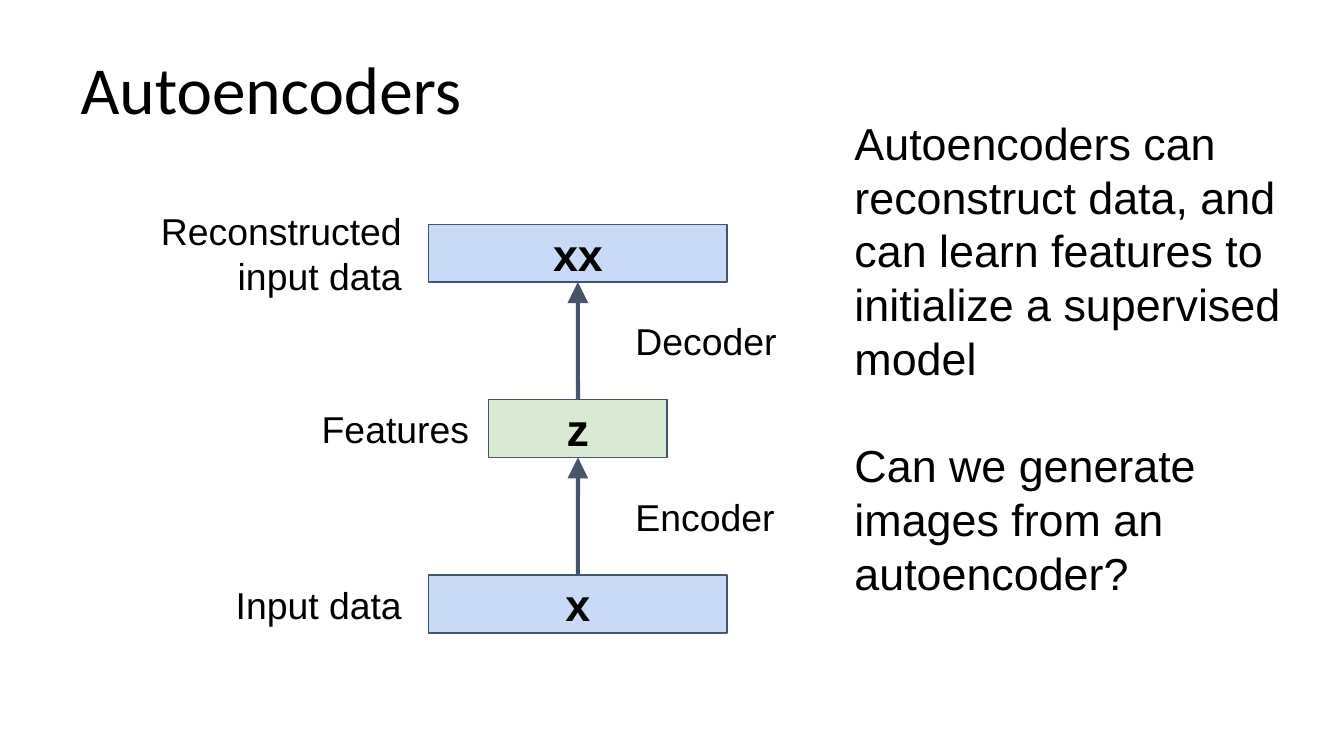
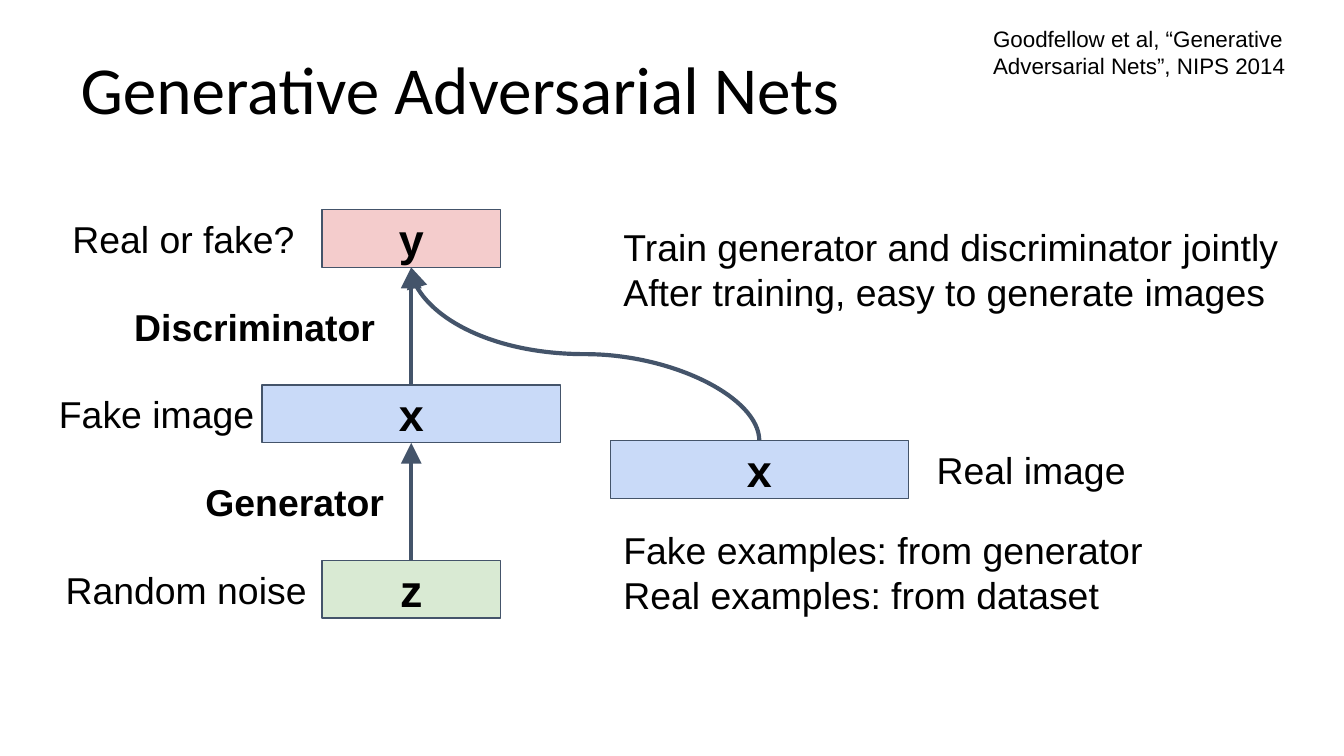
from lxml import etree
from pptx import Presentation
from pptx import util as u
from pptx.dml import color
from pptx.enum import shapes, text
from pptx.oxml import ns

WIDTH = 10
HEIGHT = WIDTH * 9 / 16
ROW_STEP, ROW_HEIGHT = HEIGHT * 0.116, 0.43
WIDE, NARROW = 2.22, 1.33
BOTTOM, TOP = 2, 0
COLORS = {
    "text": "000000",
    "line": "44546A",
    "data": "C9DAF8",
    "features": "D9EAD3",
    "verdict": "F4CCCC",
}
LEFT, CENTER, RIGHT = text.PP_ALIGN.LEFT, text.PP_ALIGN.CENTER, text.PP_ALIGN.RIGHT
MIDDLE, UPPER = text.MSO_ANCHOR.MIDDLE, text.MSO_ANCHOR.TOP


def rgb(name):
    return color.RGBColor.from_string(COLORS[name])


def inches(*lengths):
    return [u.Inches(length) for length in lengths]


def write(part, words, size=20, bold=False, align=LEFT, anchor=MIDDLE,
          font="Arial", gap=0, spacing=None):
    frame = part.text_frame
    frame.word_wrap = True
    frame.auto_size = text.MSO_AUTO_SIZE.NONE
    frame.vertical_anchor = anchor
    frame.margin_left = frame.margin_right = u.Inches(0.1)
    frame.margin_top = frame.margin_bottom = u.Inches(0.1)
    frame.text = words
    for index, paragraph in enumerate(frame.paragraphs):
        paragraph.alignment = align
        paragraph.space_before = u.Pt(gap if index else 0)
        if spacing:
            paragraph.line_spacing = spacing
        for run in paragraph.runs:
            run.font.name = font
            run.font.size = u.Pt(size)
            run.font.bold = bold
            run.font.color.rgb = rgb("text")


def add_label(slide, box, words, **style):
    write(slide.shapes.add_textbox(*inches(*box)), words, **style)


def add_block(slide, center, top, width, words, fill):
    block = slide.shapes.add_shape(
        shapes.MSO_SHAPE.RECTANGLE,
        *inches(center - width / 2, top, width, ROW_HEIGHT))
    block.shadow.inherit = False
    block.fill.solid()
    block.fill.fore_color.rgb = rgb(fill)
    block.line.color.rgb = rgb("line")
    block.line.width = u.Pt(0.75)
    write(block, words, size=24, bold=True, align=CENTER)
    return block


def add_arrow(slide, kind, start, end):
    arrow = slide.shapes.add_connector(kind, *inches(*start, *end))
    arrow.line.color.rgb = rgb("line")
    arrow.line.width = u.Pt(2.25)
    line = arrow.line._get_or_add_ln()
    etree.SubElement(line, ns.qn("a:tailEnd"), type="triangle", w="lg", len="lg")
    etree.SubElement(arrow._element.spPr, ns.qn("a:effectLst"))
    return arrow


def add_curve(slide, start, end):
    middle_x, middle_y = (start[0] + end[0]) / 2, (start[1] + end[1]) / 2
    half_x, half_y = (start[1] - end[1]) / 2, (start[0] - end[0]) / 2
    curve = add_arrow(slide, shapes.MSO_CONNECTOR.CURVE,
                      (middle_x + half_x, middle_y - half_y),
                      (middle_x - half_x, middle_y + half_y))
    curve._element.spPr.find(ns.qn("a:xfrm")).set("rot", str(90 * 60000))


def row_top(top, row):
    return top + row * ROW_STEP


def add_tower(slide, center, top, layers, labels):
    blocks = [add_block(slide, center, row_top(top, 2 * index), *layer)
              for index, layer in enumerate(layers)]
    for upper, lower in zip(blocks, blocks[1:]):
        arrow = add_arrow(slide, shapes.MSO_CONNECTOR.STRAIGHT,
                          (center, top + ROW_STEP), (center, top))
        arrow.begin_connect(lower, TOP)
        arrow.end_connect(upper, BOTTOM)
    for row, left, width, words, style in labels:
        add_label(slide, (left, row_top(top, row), width, ROW_HEIGHT), words, **style)


def add_titled_slide(deck, words):
    slide = deck.slides.add_slide(deck.slide_layouts[5])
    title = slide.shapes.title
    title.left, title.top, title.width, title.height = inches(
        0.05 * WIDTH, 0.04 * HEIGHT, 0.9 * WIDTH, HEIGHT / 6)
    write(title, words, size=36, font="Calibri", spacing=0.9)
    return slide


def build_autoencoders(deck):
    slide = add_titled_slide(deck, "Autoencoders")
    center, top = 4.3, 1.67
    flush_right = {"align": RIGHT}
    add_tower(
        slide, center, top,
        [(WIDE, "xx", "data"), (NARROW, "z", "features"), (WIDE, "x", "data")],
        [(1, 4.63, 1.4, "Decoder", {}),
         (2, 1.97, 1.62, "Features", flush_right),
         (3, 4.63, 1.4, "Encoder", {}),
         (4, 1.47, 1.62, "Input data", flush_right)])
    add_label(slide, (1.03, top - 0.11, 2.06, 0.65),
              "Reconstructed input data", align=RIGHT)
    add_label(slide, (6.26, 0.76, 3.5, 3.87),
              "Autoencoders can reconstruct data, and can learn features "
              "to initialize a supervised model\n"
              "Can we generate images from an autoencoder?",
              size=24, anchor=UPPER, gap=28.8)


def build_adversarial_nets(deck):
    slide = add_titled_slide(deck, "Generative Adversarial Nets")
    center, top = 3.06, 1.56
    real_center, real_top = 5.65, 3.28
    notes_left = real_center - WIDE / 2
    bold = {"bold": True}
    add_tower(
        slide, center, top,
        [(NARROW, "y", "verdict"), (WIDE, "x", "data"), (NARROW, "z", "features")],
        [(0, 0.44, 1.9, "Real or fake?", {}),
         (1, 0.9, 2.02, "Discriminator", bold),
         (2, 0.34, 1.69, "Fake image", {}),
         (3, 1.43, 1.59, "Generator", bold),
         (4, 0.39, 2.07, "Random noise", {})])
    add_block(slide, real_center, real_top, WIDE, "x", "data")
    add_label(slide, (6.87, real_top, 1.69, ROW_HEIGHT), "Real image")
    add_curve(slide, (real_center, real_top), (center, top + ROW_HEIGHT))
    add_label(slide, (notes_left, 3.88, 4.7, 0.76),
              "Fake examples: from generator\nReal examples: from dataset")
    add_label(slide, (notes_left, 1.62, 5.16, 0.76),
              "Train generator and discriminator jointly\n"
              "After training, easy to generate images")
    add_label(slide, (7.29, 0.09, 2.62, 0.65),
              "Goodfellow et al, “Generative Adversarial Nets”, NIPS 2014",
              size=12, anchor=UPPER)


def main():
    deck = Presentation()
    deck.slide_width, deck.slide_height = inches(WIDTH, HEIGHT)
    build_autoencoders(deck)
    build_adversarial_nets(deck)
    deck.save("out.pptx")


if __name__ == "__main__":
    main()
